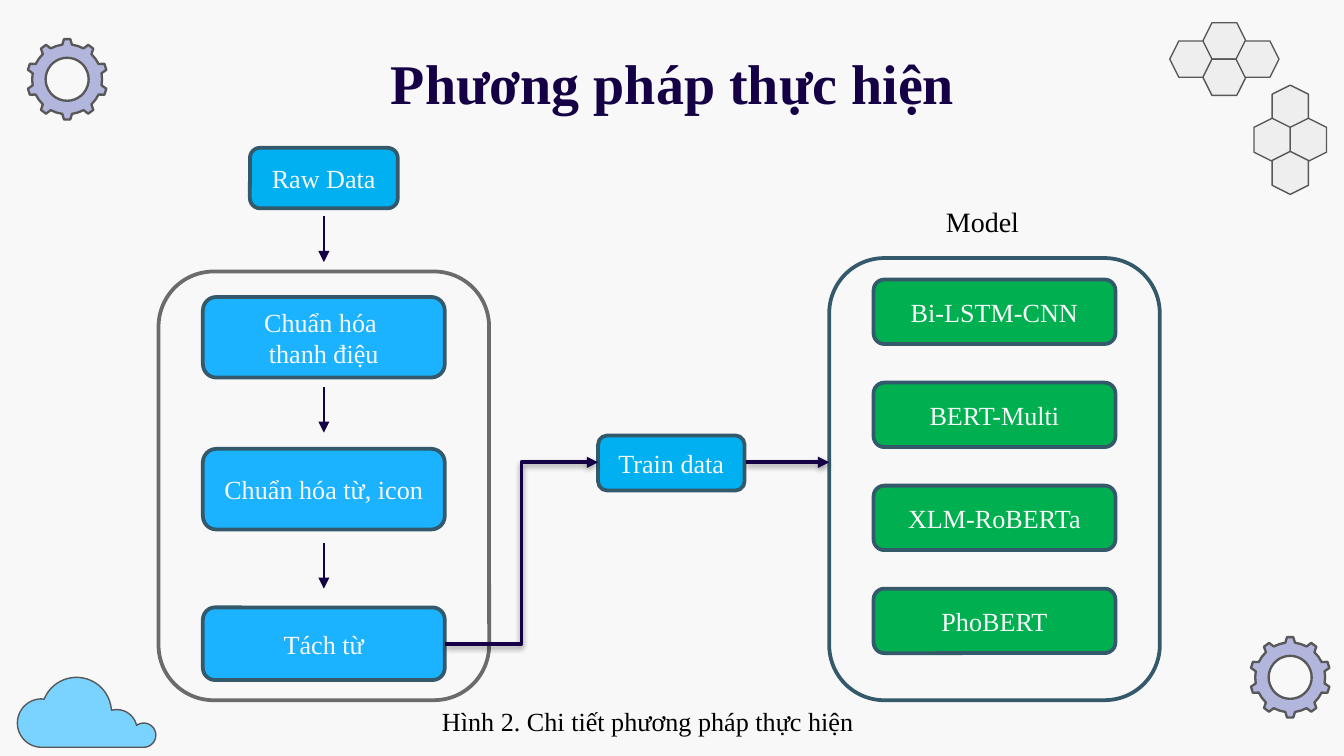
from math import cos, radians, sin

from lxml import etree
from pptx import Presentation
from pptx.dml.color import RGBColor
from pptx.enum import shapes, text
from pptx.oxml.ns import qn
from pptx.util import Inches, Pt

FONT = "Times New Roman"
PAPER, NAVY, STEEL, GRAY = "F8F8F8", "150045", "33596B", "585858"
SKY, CYAN, GREEN = "1BB3FF", "00B0F0", "00B050"

TITLE = "Phương pháp thực hiện"
CAPTION = "Hình 2. Chi tiết phương pháp thực hiện"
DATA_BOXES = [("Raw Data", (1.86, 1.1, 1.1, 0.45)),
              ("Train data", (4.45, 3.24, 1.09, 0.41))]
STEPS = [(["Chuẩn hóa ", "thanh điệu"], 2.21, 0.6),
         (["Chuẩn hóa từ, icon"], 3.34, 0.6),
         (["Tách từ"], 4.52, 0.54)]
MODELS = ["Bi-LSTM-CNN", "BERT-Multi", "XLM-RoBERTa", "PhoBERT"]
FIRST_MODEL_TOP, LAST_MODEL_TOP = 2.08, 4.38
DOWN_ARROW_TOPS = [1.61, 2.88, 4.04]
GEARS = [(0.5, 0.59), (9.6, 5.04)]
HONEYCOMBS = [(9.11, 0.44, False), (9.6, 1.04, True)]
# center x, center y, radius, start angle, end angle
CLOUD_ARCS = [(0.31, 5.38, 0.18, 90, 270), (0.57, 5.3, 0.26, 202, 355),
              (0.87, 5.43, 0.15, 255, 348), (1.07, 5.47, 0.09, 237, 450)]


def color(code):
    return RGBColor.from_string(code)


def paint(shape, fill, line, width):
    shape.shadow.inherit = False
    if fill:
        shape.fill.solid()
        shape.fill.fore_color.rgb = color(fill)
    else:
        shape.fill.background()
    shape.line.color.rgb = color(line)
    shape.line.width = Pt(width)


def write(shape, lines, size, ink, align, bold=False):
    frame = shape.text_frame
    frame.word_wrap = True
    for index, line in enumerate(lines):
        para = frame.paragraphs[0] if index == 0 else frame.add_paragraph()
        para.alignment = align
        span = para.add_run()
        span.text = line
        span.font.name, span.font.size, span.font.bold = FONT, Pt(size), bold
        span.font.color.rgb = color(ink)
    return frame


def add_box(slide, place, fill, lines=(), line=STEEL):
    box = slide.shapes.add_shape(shapes.MSO_SHAPE.ROUNDED_RECTANGLE, *map(Inches, place))
    paint(box, fill, line, 2)
    if lines:
        frame = write(box, lines, 14, PAPER, text.PP_ALIGN.CENTER)
        frame.vertical_anchor = text.MSO_ANCHOR.MIDDLE


def add_label(slide, place, label, size, ink="000000", align=text.PP_ALIGN.LEFT, bold=False):
    box = slide.shapes.add_textbox(*map(Inches, place))
    return write(box, [label], size, ink, align, bold)


def add_arrow(slide, start, end, width, kind=shapes.MSO_CONNECTOR.STRAIGHT, shadow=False):
    arrow = slide.shapes.add_connector(kind, *map(Inches, start + end))
    arrow.line.color.rgb = color(NAVY)
    arrow.line.width = Pt(width)
    etree.SubElement(arrow.line._get_or_add_ln(), qn("a:tailEnd"), type="triangle")
    effects = etree.SubElement(arrow._element.spPr, qn("a:effectLst"))
    if shadow:
        outer = etree.SubElement(effects, qn("a:outerShdw"), blurRad="40000",
                                 dist="20000", dir="5400000", rotWithShape="0")
        black = etree.SubElement(outer, qn("a:srgbClr"), val="000000")
        etree.SubElement(black, qn("a:alpha"), val="38000")


def arc(x, y, radius, start, end, steps=36):
    angles = [radians(start + (end - start) * i / steps) for i in range(steps + 1)]
    return [(x + radius * cos(a), y + radius * sin(a)) for a in angles]


def add_outline(slide, contours, fill, width):
    contours = [[(Inches(x), Inches(y)) for x, y in contour] for contour in contours]
    builder = slide.shapes.build_freeform(*contours[0][0])
    for index, contour in enumerate(contours):
        if index:
            builder.move_to(*contour[0])
        builder.add_line_segments(contour[1:], close=True)
    paint(builder.convert_to_shape(), fill, GRAY, width)


def add_gear(slide, x, y, teeth=10):
    rim = []
    for tooth in range(teeth):
        middle = 360 / teeth * tooth - 90
        for radius, turn in [(0.26, -8), (0.3, -4.5), (0.3, 4.5), (0.26, 8), (0.26, 18)]:
            angle = radians(middle + turn)
            rim.append((x + radius * cos(angle), y + radius * sin(angle)))
    add_outline(slide, [rim, arc(x, y, 0.16, 0, 360)], "B2B6DC", 1.25)


def add_honeycomb(slide, x, y, upright):
    """Four hexagons: two at the ends of the long axis, two across it."""
    width, height = 0.32, 0.27
    reach = width * 0.77
    for along, across in [(-reach, 0), (0, -height / 2), (0, height / 2), (reach, 0)]:
        dx, dy = (across, along) if upright else (along, across)
        place = x + dx - width / 2, y + dy - height / 2, width, height
        cell = slide.shapes.add_shape(shapes.MSO_SHAPE.HEXAGON, *map(Inches, place))
        cell.rotation = 90 if upright else 0
        paint(cell, "EEEEEE", GRAY, 0.75)


def main():
    deck = Presentation()
    deck.slide_width = Inches(10)
    deck.slide_height = deck.slide_width * 9 // 16
    slide = deck.slides.add_slide(deck.slide_layouts[6])
    slide.background.fill.solid()
    slide.background.fill.fore_color.rgb = color(PAPER)

    cloud = [point for lobe in CLOUD_ARCS for point in arc(*lobe)]
    add_outline(slide, [cloud], "7AD3FF", 0.75)
    for honeycomb in HONEYCOMBS:
        add_honeycomb(slide, *honeycomb)
    for gear in GEARS:
        add_gear(slide, *gear)

    title = add_label(slide, (0.79, 0.26, 8.43, 0.63), TITLE, 30, NAVY,
                      text.PP_ALIGN.CENTER, True)
    title.margin_top = title.margin_bottom = Inches(0.1)

    add_box(slide, (1.18, 2.02, 2.46, 3.19), None, line="6B6B6B")
    add_box(slide, (6.17, 1.92, 2.46, 3.29), PAPER)
    for label, place in DATA_BOXES:
        add_box(slide, place, CYAN, [label])
    for lines, top, height in STEPS:
        add_box(slide, (1.51, top, 1.8, height), SKY, lines)
    pitch = (LAST_MODEL_TOP - FIRST_MODEL_TOP) / (len(MODELS) - 1)
    for row, model in enumerate(MODELS):
        add_box(slide, (6.5, FIRST_MODEL_TOP + row * pitch, 1.8, 0.48), GREEN, [model])

    for top in DOWN_ARROW_TOPS:
        add_arrow(slide, (2.41, top), (2.41, top + 0.34), 0.75)
    add_arrow(slide, (3.31, 4.79), (4.45, 3.44), 2, shapes.MSO_CONNECTOR.ELBOW, True)
    add_arrow(slide, (5.55, 3.44), (6.17, 3.44), 2, shadow=True)

    add_label(slide, (6.94, 1.47, 1.1, 0.35), "Model", 15)
    add_label(slide, (3.19, 5.2, 5, 0.34), CAPTION, 14)
    deck.save("out.pptx")


if __name__ == "__main__":
    main()
